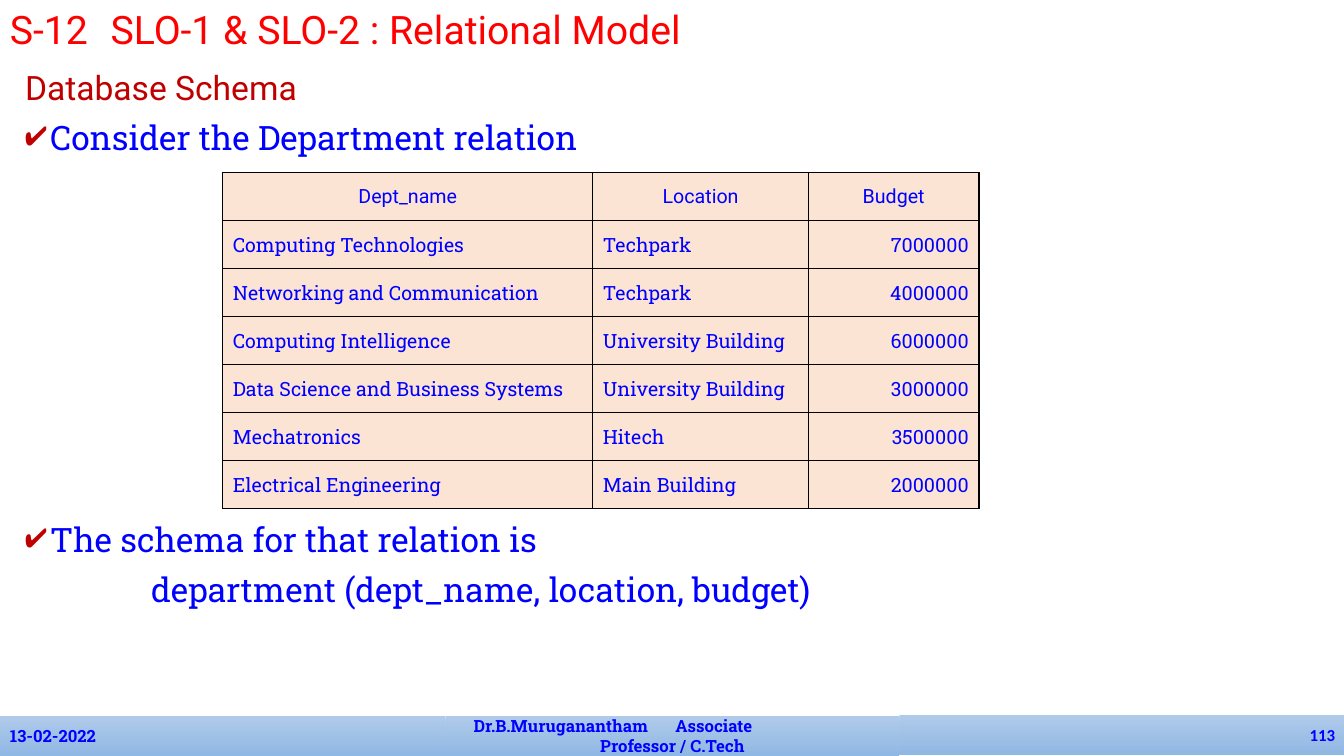
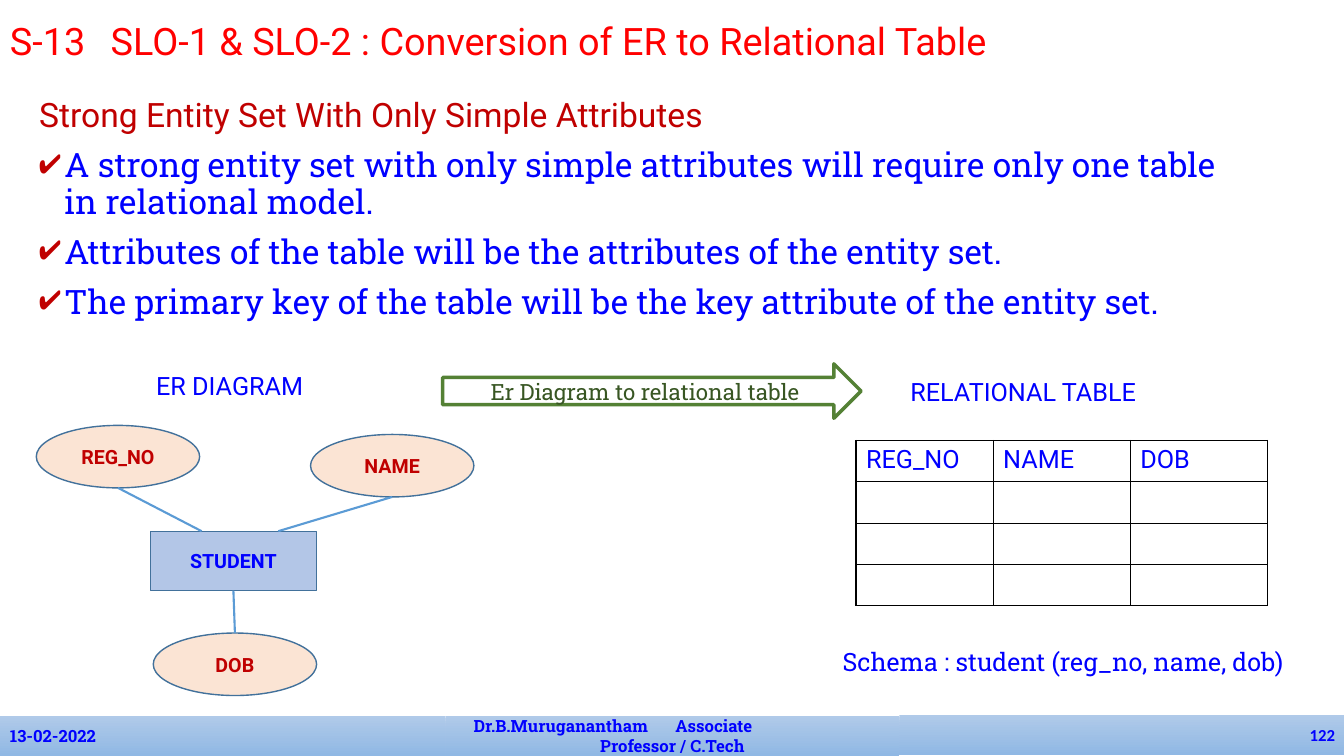
from dataclasses import dataclass

from lxml import etree
from pptx import Presentation
from pptx import util as u
from pptx.dml import color as dml
from pptx.enum import shapes, text
from pptx.oxml import ns

LEFT, CENTER, RIGHT = text.PP_ALIGN.LEFT, text.PP_ALIGN.CENTER, text.PP_ALIGN.RIGHT
MIDDLE = text.MSO_ANCHOR.MIDDLE
SHAPE = shapes.MSO_SHAPE


@dataclass(frozen=True)
class Theme:
    """Colours, fonts and type sizes shared by the slides."""
    title: str = "FF0000"
    accent: str = "C00000"
    ink: str = "0000FF"
    peach: str = "FBE4D4"
    entity: str = "B3C6E7"
    outline: str = "42719B"
    link: str = "5B9BD5"
    arrow: str = "548135"
    arrow_ink: str = "385623"
    border: str = "000000"
    band_top: str = "B0CAE9"
    band_bottom: str = "90B8E4"
    sans: str = "Roboto"
    slab: str = "Roboto Slab"
    number: str = "Calibri"
    title_size: int = 28
    body_size: int = 24
    label_size: int = 18
    arrow_size: int = 16
    cell_size: int = 14
    footer_size: int = 12


THEME = Theme()


@dataclass(frozen=True)
class Box:
    """A region in columns and rows of a grid with one-inch cells."""
    x: float
    y: float
    w: float
    h: float

    def inner(self, x, y, w, h):
        """Return a region placed relative to this one."""
        return Box(self.x + x, self.y + y, w, h)

    def emu(self):
        """Return left, top, width and height as lengths."""
        return [u.Inches(side) for side in (self.x, self.y, self.w, self.h)]


PAGE = Box(0, 0, 13.33, 7.5)


def rgb(code):
    """Turn a hex code into a colour."""
    return dml.RGBColor.from_string(code)


def add_xml(parent, tag, **attributes):
    """Append a drawing element to a parent."""
    return etree.SubElement(parent, ns.qn(tag), attributes)


def write(frame, words, size=THEME.body_size, font=THEME.slab, color=THEME.ink, bold=False,
          align=LEFT, spacing=None, before=0, margin=0, indent=0, bullet=None, tab=None):
    """Add one formatted paragraph to a text frame."""
    paragraph = frame.add_paragraph() if frame.text else frame.paragraphs[0]
    paragraph.alignment = align
    paragraph.space_before = u.Pt(before)
    if spacing:
        paragraph.line_spacing = spacing
    props = paragraph._p.get_or_add_pPr()
    props.set("marL", str(u.Inches(margin)))
    props.set("indent", str(u.Inches(indent)))
    if bullet:
        add_xml(add_xml(props, "a:buClr"), "a:srgbClr", val=THEME.accent)
        add_xml(props, "a:buChar", char=bullet)
    if tab:
        add_xml(add_xml(props, "a:tabLst"), "a:tab", pos=str(u.Inches(tab)), algn="l")
    run = paragraph.add_run()
    run.text = words
    run.font.size, run.font.name, run.font.bold = u.Pt(size), font, bold
    run.font.color.rgb = rgb(color)


def text_area(slide, box):
    """Add a wrapping text box and return its frame."""
    frame = slide.shapes.add_textbox(*box.emu()).text_frame
    frame.word_wrap = True
    return frame


def panel(slide, kind, box, fill=None, line=None, width=1):
    """Add a flat preset shape with middle-anchored text."""
    shape = slide.shapes.add_shape(kind, *box.emu())
    shape.shadow.inherit = False
    if fill:
        shape.fill.solid()
        shape.fill.fore_color.rgb = rgb(fill)
    else:
        shape.fill.background()
    if line:
        shape.line.color.rgb = rgb(line)
        shape.line.width = u.Pt(width)
    else:
        shape.line.fill.background()
    shape.text_frame.vertical_anchor = MIDDLE
    shape.text_frame.word_wrap = True
    return shape


def footer_band(slide, box):
    """Add one gradient footer section and return its frame."""
    band = panel(slide, SHAPE.RECTANGLE, box)
    band.fill.gradient()
    band.fill.gradient_angle = 270
    for stop, code in zip(band.fill.gradient_stops, (THEME.band_top, THEME.band_bottom)):
        stop.color.rgb = rgb(code)
    return band.text_frame


def footer(slide, box, number):
    """Add the date, author and page number sections."""
    style = dict(size=THEME.footer_size, bold=True)
    side, middle = 4.42, 4.5
    write(footer_band(slide, box.inner(0, 0, side, box.h)), "13-02-2022", **style)
    author = footer_band(slide, box.inner(side, 0, middle, box.h))
    write(author, "Dr.B.Muruganantham\tAssociate", margin=0.18, tab=3.34, **style)
    write(author, "Professor / C.Tech", align=CENTER, **style)
    page = footer_band(slide, box.inner(side + middle, -0.01, side, box.h))
    write(page, number, font=THEME.number, align=RIGHT, **style)


def base_slide(deck, title, number, top=0, size=THEME.title_size):
    """Add a slide with the shared title and footer."""
    slide = deck.slides.add_slide(deck.slide_layouts[6])
    footer(slide, PAGE.inner(0, 7.1, PAGE.w, 0.4), number)
    write(text_area(slide, PAGE.inner(0, top, 12.2, 0.57)), title,
          size=size, font=THEME.sans, color=THEME.title)
    return slide


def body(slide, box, heading=None, points=(), closing=None):
    """Add a heading, ticked points and an indented closing line."""
    frame = text_area(slide, box)
    if heading:
        write(frame, heading, font=THEME.sans, color=THEME.accent, spacing=0.9)
    for point in points:
        write(frame, point, spacing=0.9, before=10 if frame.text else 0,
              margin=0.25, indent=-0.25, bullet="✔")
    if closing:
        write(frame, closing, spacing=0.9, before=10, margin=1.25)


def outline_cell(cell):
    """Draw thin borders on all sides of a cell."""
    props = cell._tc.get_or_add_tcPr()
    for side in ("a:lnL", "a:lnR", "a:lnT", "a:lnB"):
        edge = add_xml(props, side, w=str(u.Pt(1)))
        add_xml(add_xml(edge, "a:solidFill"), "a:srgbClr", val=THEME.border)


def grid_table(slide, box, rows, widths, aligns, head_align, size, fill=None, anchor=None):
    """Add a bordered table with a heading row and equal row heights."""
    table = slide.shapes.add_table(len(rows), len(widths), *box.emu()).table
    table.first_row = table.horz_banding = False
    for column, width in zip(table.columns, widths):
        column.width = u.Inches(width)
    for r, row in enumerate(rows):
        table.rows[r].height = u.Inches(box.h / len(rows))
        for c, words in enumerate(row):
            cell = table.cell(r, c)
            outline_cell(cell)
            cell.vertical_anchor = anchor
            if fill:
                cell.fill.solid()
                cell.fill.fore_color.rgb = rgb(fill)
            else:
                cell.fill.background()
            if words:
                write(cell.text_frame, words, size=size, font=THEME.slab if r else THEME.sans,
                      align=aligns[c] if r else head_align)


def link(slide, start, end):
    """Add a straight connector between two grid points."""
    line = slide.shapes.add_connector(
        shapes.MSO_CONNECTOR.STRAIGHT, *(u.Inches(value) for value in (*start, *end)))
    line.line.color.rgb = rgb(THEME.link)
    line.line.width = u.Pt(1.5)
    add_xml(line._element.spPr, "a:effectLst")
    return line


def er_diagram(slide, box):
    """Add the student entity with its three attributes."""
    style = dict(size=THEME.cell_size, font=THEME.sans, bold=True, align=CENTER)
    entity_box = box.inner(1.13, 1.05, 1.65, 0.59)
    entity = panel(slide, SHAPE.RECTANGLE, entity_box, THEME.entity, THEME.outline)
    write(entity.text_frame, "STUDENT", **style)
    attributes = {}
    for name, x, y in (("REG_NO", 0, 0), ("DOB", 1.16, 2.06), ("NAME", 2.72, 0.09)):
        spot = box.inner(x, y, 1.62, 0.62)
        oval = panel(slide, SHAPE.OVAL, spot, THEME.peach, THEME.outline)
        write(oval.text_frame, name, color=THEME.accent, **style)
        attributes[name] = spot, oval
    for name, offset in (("REG_NO", 0.51), ("NAME", 1.27)):
        spot = attributes[name][0]
        link(slide, (entity_box.x + offset, entity_box.y),
             (spot.x + spot.w / 2, spot.y + spot.h))
    dob_box, dob = attributes["DOB"]
    stem = link(slide, (entity_box.x, entity_box.y), (dob_box.x, dob_box.y))
    stem.begin_connect(entity, 2)
    stem.end_connect(dob, 0)


def conversion(slide, box):
    """Add the captions, arrow, diagram and resulting table."""
    caption = dict(size=THEME.label_size)
    write(text_area(slide, box.inner(1.09, 0.01, 2.26, 0.4)), "ER DIAGRAM",
          font=THEME.sans, **caption)
    write(text_area(slide, box.inner(8.57, 0.07, 3.31, 0.4)), "RELATIONAL TABLE",
          font=THEME.sans, **caption)
    arrow = panel(slide, SHAPE.RIGHT_ARROW, box.inner(4.03, 0, 4.15, 0.54),
                  line=THEME.arrow, width=2.5)
    write(arrow.text_frame, "Er Diagram to relational table", size=THEME.arrow_size,
          color=THEME.arrow_ink, align=CENTER)
    er_diagram(slide, box.inner(0, 0.61, 4.34, 2.68))
    columns = ("REG_NO", "NAME", "DOB")
    grid_table(slide, box.inner(8.13, 0.76, 4.08, 1.64), [columns] + [("",) * 3] * 3,
               [1.36] * 3, [LEFT] * 3, LEFT, THEME.label_size)
    write(text_area(slide, box.inner(7.9, 2.75, 5.07, 0.4)),
          "Schema : student (reg_no, name, dob)", **caption)


def schema_slide(deck):
    """Build the database schema slide."""
    slide = base_slide(deck, "S-12\tSLO-1 & SLO-2 : Relational Model", "113")
    area = PAGE.inner(0.15, 0.66, 9.57, 5.57)
    body(slide, area.inner(0, 0, area.w, 1), "Database Schema",
         ["Consider the Department relation"])
    departments = [
        ("Dept_name", "Location", "Budget"),
        ("Computing Technologies", "Techpark", "7000000"),
        ("Networking and Communication", "Techpark", "4000000"),
        ("Computing Intelligence", "University Building", "6000000"),
        ("Data Science and Business Systems", "University Building", "3000000"),
        ("Mechatronics", "Hitech", "3500000"),
        ("Electrical Engineering", "Main Building", "2000000"),
    ]
    grid_table(slide, area.inner(2.06, 1.05, 7.5, 3.34), departments, (3.67, 2.14, 1.69),
               (LEFT, LEFT, RIGHT), CENTER, THEME.cell_size, THEME.peach, MIDDLE)
    body(slide, area.inner(0, 4.48, area.w, 1.09), points=["The schema for that relation is"],
         closing="department (dept_name, location, budget)")


def conversion_slide(deck):
    """Build the slide that turns an entity set into a table."""
    slide = base_slide(deck, "S-13\tSLO-1 & SLO-2 : Conversion of ER to Relational Table",
                       "122", top=0.13, size=THEME.title_size - 1)
    body(slide, PAGE.inner(0.29, 0.93, 12.04, 2.6),
         "Strong Entity Set With Only Simple Attributes",
         ["A strong entity set with only simple attributes will require only one table"
          " in relational model.",
          "Attributes of the table will be the attributes of the entity set.",
          "The primary key of the table will be the key attribute of the entity set."])
    conversion(slide, PAGE.inner(0.36, 3.61, 12.97, 3.3))


def main():
    """Build and save the deck."""
    deck = Presentation()
    deck.slide_width, deck.slide_height = u.Inches(PAGE.w), u.Inches(PAGE.h)
    schema_slide(deck)
    conversion_slide(deck)
    deck.save("out.pptx")


if __name__ == "__main__":
    main()
